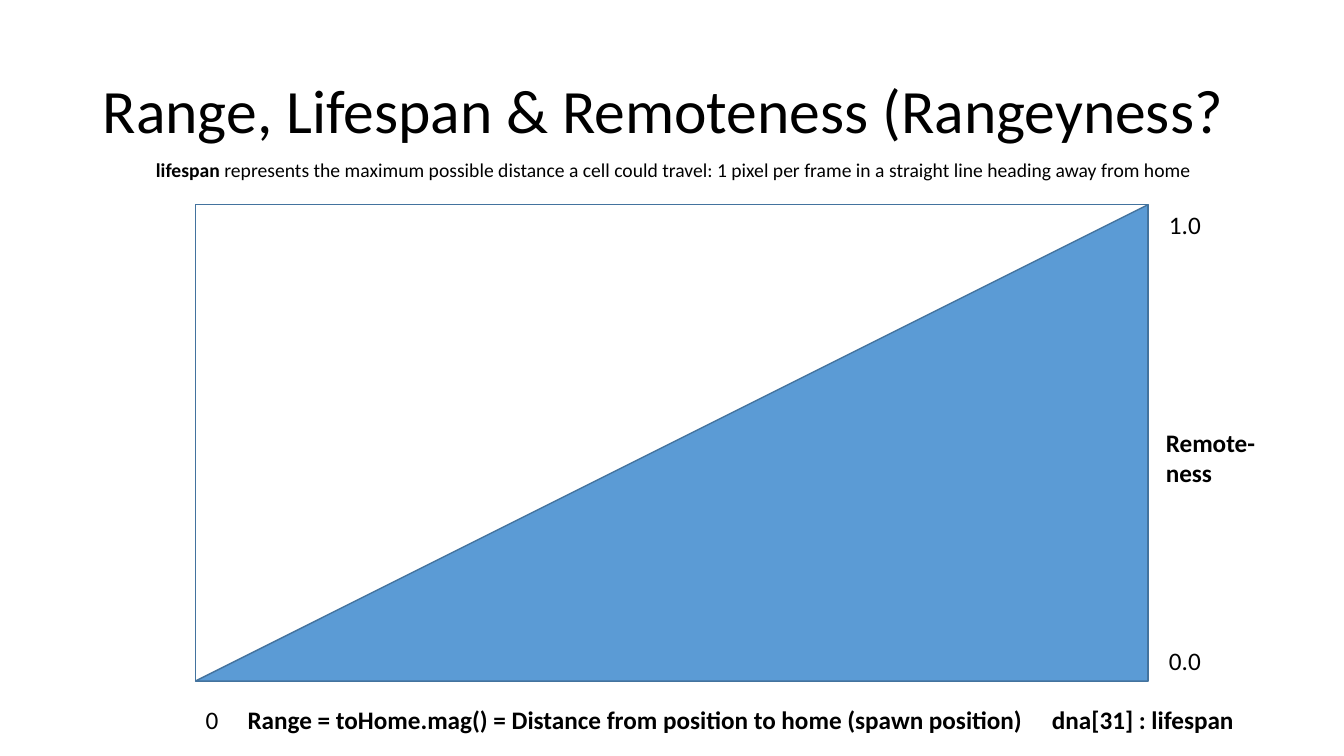
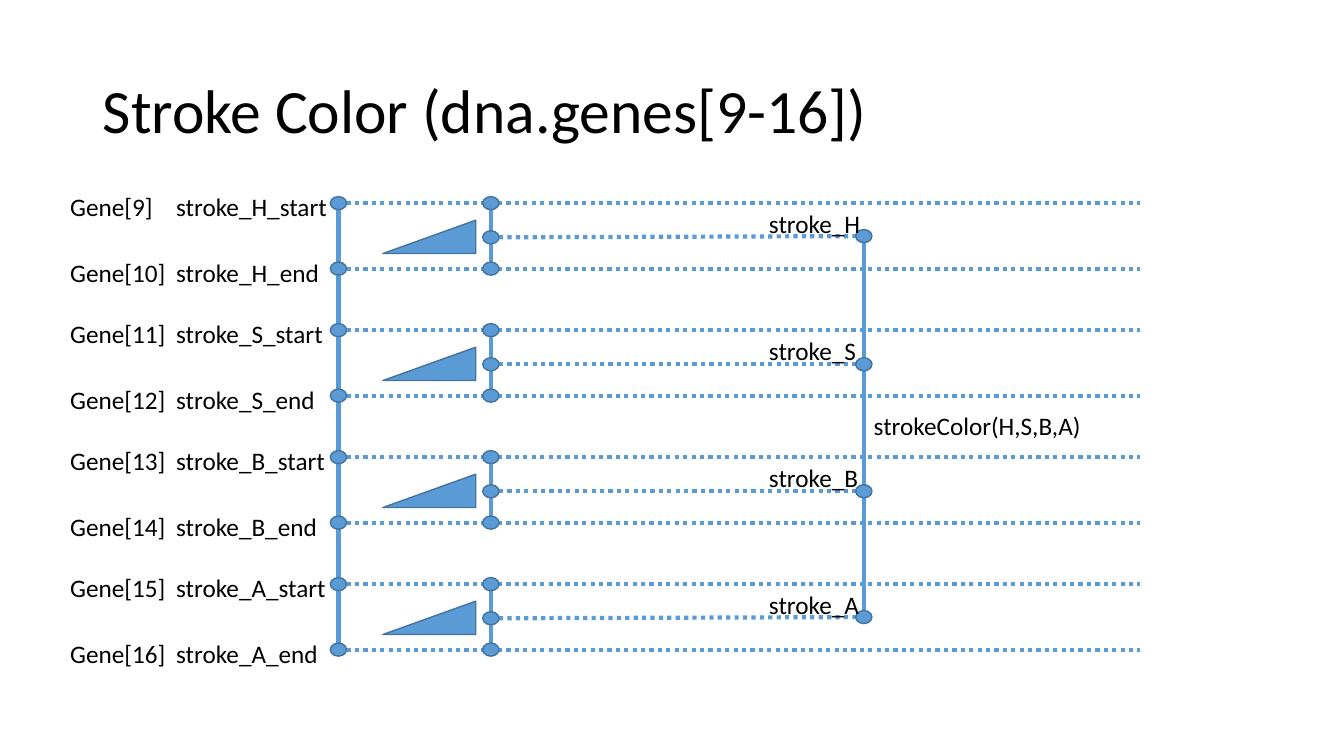
from pptx import Presentation
from pptx.dml.color import RGBColor
from pptx.enum import dml, shapes, text
from pptx.oxml import ns, xmlchemy
from pptx.util import Cm, Pt

COLORS = {"text": "000000", "blue": "5B9BD5", "edge": "43739E"}
FONT = "Calibri"
SLIDE = (33.87, 19.05)
TITLE_BOX = (2.34, 1.02, 29.21, 3.68)
LABEL_HEIGHT = 1.02

# Content: lengths are centimetres
RANGE_TITLE = "Range, Lifespan & Remoteness (Rangeyness?"
PLOT = (4.93, 5.16, 24, 12)
LIFESPAN_NOTE = [
    ("lifespan ", True),
    ("represents the maximum possible distance a cell could travel: "
     "1 pixel per frame in a straight line heading away from home", False),
]
NOTE_BOX = (3.68, 3.86, 26.77, 0.86)
PLOT_LABELS = [  # wording, bold, left, top, width
    ("dna[31] : lifespan", True, 26.26, 17.63, 5.31),
    ("0", False, 4.93, 17.63, 2.82),
    ("0.0", False, 29.21, 16.13, 2.82),
    ("1.0", False, 29.21, 5.16, 2.82),
    ("Range = toHome.mag() = Distance from position to home (spawn position)",
     True, 5.99, 17.63, 20.32),
    ("Remote-ness", True, 29.13, 10.64, 2.95),
]

STROKE_TITLE = "Stroke Color (dna.genes[9-16])"
FIRST_GENE = 9
CHANNELS = [("H", -0.03), ("S", 0), ("B", 0), ("A", -0.03)]  # letter, hub shift
RESULT = "strokeColor(H,S,B,A)"
RESULT_BOX = (21.77, 10.21, 5.72, LABEL_HEIGHT)

FIRST_ROW = 5.12
CHANNEL_STEP = 3.2
END_OFFSET = 1.65
MIDDLE_OFFSET = 0.86
LABEL_RISE = 0.42
DOT = (0.41, 0.33)
RAMP = (9.65, 0.43, 2.34, 0.84)  # left, drop below the start row, size
GENE_LEFT, NAME_LEFT, OUTPUT_LEFT = 1.52, 4.19, 19.13
GENE_X, MIX_X, HUB_X, RIGHT_X = 8.53, 12.37, 21.77, 28.73


def color(name):
    """Return a palette colour."""
    return RGBColor.from_string(COLORS[name])


def add_text(page, content, area, size=18, bold=False, spacing=1.0,
             anchor=text.MSO_ANCHOR.TOP):
    """Add a text box; content is a string or a list of (wording, bold)."""
    box = page.shapes.add_textbox(*map(Cm, area))
    frame = box.text_frame
    frame.word_wrap = True
    frame.vertical_anchor = anchor
    para = frame.paragraphs[0]
    para.line_spacing = spacing
    parts = [(content, bold)] if isinstance(content, str) else content
    for wording, is_bold in parts:
        span = para.add_run()
        span.text = wording
        span.font.name = FONT
        span.font.size = Pt(size)
        span.font.bold = is_bold
        span.font.color.rgb = color("text")


def add_figure(page, kind, area, filled=True, flipped=False):
    """Add an outlined preset shape, optionally mirrored left to right."""
    figure = page.shapes.add_shape(kind, *map(Cm, area))
    figure.shadow.inherit = False
    if filled:
        figure.fill.solid()
        figure.fill.fore_color.rgb = color("blue")
    else:
        figure.fill.background()
    figure.line.color.rgb = color("edge")
    figure.line.width = Pt(1)
    if flipped:
        figure._element.spPr.find(ns.qn("a:xfrm")).set("flipH", "1")


def add_ramp(page, area):
    """Add a triangle that rises to the right."""
    add_figure(page, shapes.MSO_SHAPE.RIGHT_TRIANGLE, area, flipped=True)


def add_dot(page, x, y):
    """Add a node centred on a point."""
    width, height = DOT
    area = (x - width / 2, y - height / 2, width, height)
    add_figure(page, shapes.MSO_SHAPE.OVAL, area)


def add_line(page, start, end, dotted=False):
    """Add a straight blue line between two points."""
    line = page.shapes.add_connector(
        shapes.MSO_CONNECTOR.STRAIGHT, *map(Cm, start + end))
    line.line.color.rgb = color("blue")
    line.line.width = Pt(3)
    if dotted:
        line.line.dash_style = dml.MSO_LINE.ROUND_DOT
    line._element.spPr.append(xmlchemy.OxmlElement("a:effectLst"))


def add_page(deck, title):
    """Add a blank page with the shared title style."""
    page = deck.slides.add_slide(deck.slide_layouts[6])
    add_text(page, title, TITLE_BOX, size=44, spacing=0.9,
             anchor=text.MSO_ANCHOR.MIDDLE)
    return page


def build_range(deck):
    """Build the page on remoteness against range."""
    page = add_page(deck, RANGE_TITLE)
    add_figure(page, shapes.MSO_SHAPE.RECTANGLE, PLOT, filled=False)
    add_ramp(page, PLOT)
    for wording, bold, left, top, width in PLOT_LABELS:
        add_text(page, wording, (left, top, width, LABEL_HEIGHT), bold=bold)
    add_text(page, LIFESPAN_NOTE, NOTE_BOX, size=14)


def add_channel(page, index, letter, shift):
    """Add one colour channel: two genes, their mix and its output."""
    start = FIRST_ROW + index * CHANNEL_STEP
    middle = start + MIDDLE_OFFSET
    hub = middle + shift
    half = DOT[0] / 2
    add_line(page, (MIX_X, start), (MIX_X, start + END_OFFSET))
    add_line(page, (MIX_X + half, middle), (HUB_X - half, hub), dotted=True)
    for order, part in enumerate(("start", "end")):
        row = start + order * END_OFFSET
        top = row - LABEL_RISE
        gene = FIRST_GENE + 2 * index + order
        add_text(page, f"Gene[{gene}]", (GENE_LEFT, top, 2.97, LABEL_HEIGHT))
        add_text(page, f"stroke_{letter}_{part}",
                 (NAME_LEFT, top, 5.46, LABEL_HEIGHT))
        add_line(page, (GENE_X + half, row), (RIGHT_X, row), dotted=True)
        add_dot(page, GENE_X, row)
        add_dot(page, MIX_X, row)
    add_dot(page, MIX_X, middle)
    add_dot(page, HUB_X, hub)
    left, drop, width, height = RAMP
    add_ramp(page, (left, start + drop, width, height))
    add_text(page, f"stroke_{letter}", (OUTPUT_LEFT, start, 3.76, LABEL_HEIGHT))


def build_stroke(deck):
    """Build the page on how genes make the stroke colour."""
    page = add_page(deck, STROKE_TITLE)
    last = FIRST_ROW + (len(CHANNELS) - 1) * CHANNEL_STEP
    add_line(page, (GENE_X, FIRST_ROW), (GENE_X, last + END_OFFSET))
    add_line(page, (HUB_X, FIRST_ROW + MIDDLE_OFFSET),
             (HUB_X, last + MIDDLE_OFFSET))
    for index, (letter, shift) in enumerate(CHANNELS):
        add_channel(page, index, letter, shift)
    add_text(page, RESULT, RESULT_BOX)


deck = Presentation()
deck.slide_width, deck.slide_height = map(Cm, SLIDE)
build_range(deck)
build_stroke(deck)
deck.save("out.pptx")
